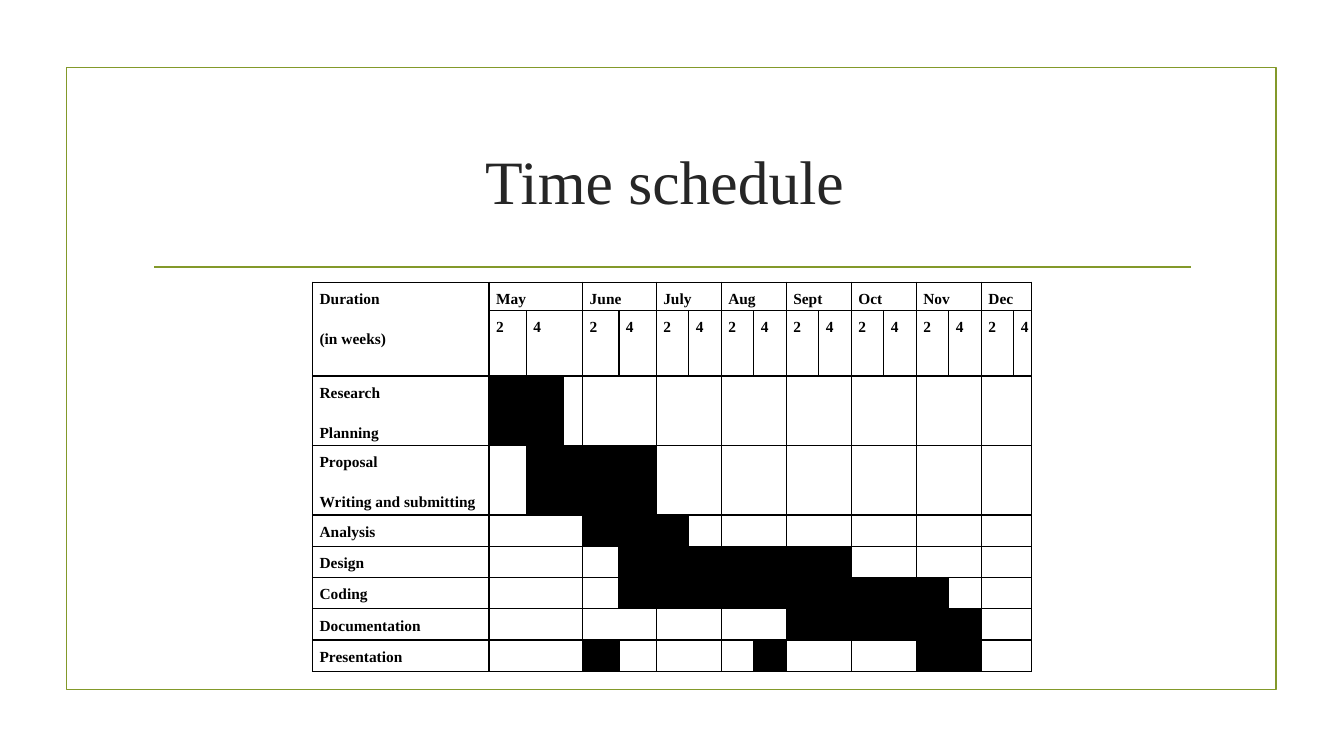
from itertools import groupby

from lxml import etree
from pptx import Presentation
from pptx.dml.color import RGBColor
from pptx.enum.shapes import MSO_CONNECTOR, MSO_SHAPE
from pptx.enum.text import MSO_ANCHOR, PP_ALIGN
from pptx.oxml.ns import qn
from pptx.util import Inches, Pt

RECT = MSO_SHAPE.RECTANGLE
LINE = MSO_CONNECTOR.STRAIGHT
MIDDLE = MSO_ANCHOR.MIDDLE
CENTER = PP_ALIGN.CENTER
JUSTIFY = PP_ALIGN.JUSTIFY

COLORS = {"olive": "83992A", "title": "262626", "ink": "000000"}
FONT = "Times New Roman"
TITLE = {"name": FONT, "size": Pt(44), "bold": False}
LABEL = {"name": FONT, "size": Pt(11), "bold": True}
SPACING = {"alignment": JUSTIFY, "line_spacing": 1.5, "space_after": Pt(10)}
MARGINS = {"margin_left": Inches(0.07), "margin_right": Inches(0.07),
           "margin_top": 0, "margin_bottom": 0}

MONTHS = ["May", "June", "July", "Aug", "Sept", "Oct", "Nov", "Dec"]
SPANS = [(1, 3)] + [(col, col + 1) for col in range(4, 18, 2)]
TASKS = [
    ("Research\nPlanning", [(1, 2)]),
    ("Proposal\nWriting and submitting", [(2, 5)]),
    ("Analysis", [(4, 6)]),
    ("Design", [(5, 11)]),
    ("Coding", [(5, 14)]),
    ("Documentation", [(10, 15)]),
    ("Presentation", [(4, 4), (9, 9), (14, 15)]),
]
WIDTHS = [1.75, 0.37, 0.37, 0.19, 0.36, 0.37] + [3.55 / 11] * 11 + [0.17]
HEIGHTS = [0.28, 0.65, 0.69, 0.69] + [0.31] * 5


def color(name):
    return RGBColor.from_string(COLORS[name])


def style(item, values):
    for key, value in values.items():
        setattr(item, key, value)


def add_frame(slide, left, top, width, height):
    frame = slide.shapes.add_shape(
        RECT, Inches(left), Inches(top), Inches(width), Inches(height))
    frame.shadow.inherit = False
    frame.fill.background()
    rule = slide.shapes.add_connector(
        LINE, Inches(left + 0.87), Inches(top + 1.98),
        Inches(left + width - 0.85), Inches(top + 1.98))
    etree.SubElement(rule._element.spPr, qn("a:effectLst"))
    for shape in (frame, rule):
        shape.line.color.rgb = color("olive")
        shape.line.width = Pt(1.25)


def add_title(slide, left, top, width, height):
    title = slide.shapes.title
    style(title, {"left": Inches(left), "top": Inches(top),
                  "width": Inches(width), "height": Inches(height)})
    title.text_frame.text = "Time schedule "
    title.text_frame.vertical_anchor = MIDDLE
    para = title.text_frame.paragraphs[0]
    para.alignment = CENTER
    style(para.runs[0].font, TITLE)
    para.runs[0].font.color.rgb = color("title")


def add_edges(cell):
    props = cell._tc.get_or_add_tcPr()
    for side in ("lnL", "lnR", "lnT", "lnB"):
        edge = etree.SubElement(props, qn(f"a:{side}"), w=str(Pt(1)))
        fill = etree.SubElement(edge, qn("a:solidFill"))
        etree.SubElement(fill, qn("a:srgbClr"), val=COLORS["ink"])


def set_text(cell, text):
    cell.text_frame.text = text
    for para in cell.text_frame.paragraphs:
        style(para, SPACING)
        for font in [para.font] + [run.font for run in para.runs]:
            style(font, LABEL)
            font.color.rgb = color("ink")


def join(table, row, first, last):
    if last > first:
        table.cell(row, first).merge(table.cell(row, last))


def fill_head(table):
    set_text(table.cell(0, 0), "Duration\n(in weeks)")
    table.cell(0, 0).merge(table.cell(1, 0))
    for month, (first, last) in zip(MONTHS, SPANS):
        set_text(table.cell(0, first), month)
        set_text(table.cell(1, first), "2")
        set_text(table.cell(1, first + 1), "4")
        join(table, 0, first, last)
        join(table, 1, first + 1, last)


def fill_task(table, row, name, bars):
    def busy(col):
        return any(start <= col <= end for start, end in bars)

    set_text(table.cell(row, 0), name)
    for first, last in SPANS:
        for dark, group in groupby(range(first, last + 1), busy):
            cols = list(group)
            if dark:
                for col in cols:
                    fill = table.cell(row, col).fill
                    fill.solid()
                    fill.fore_color.rgb = color("ink")
            join(table, row, cols[0], cols[-1])


def add_plan(slide, left, top):
    table = slide.shapes.add_table(
        len(HEIGHTS), len(WIDTHS), Inches(left), Inches(top),
        Inches(sum(WIDTHS)), Inches(sum(HEIGHTS))).table
    style(table, {"first_row": False, "horz_banding": False})
    for col, width in zip(table.columns, WIDTHS):
        col.width = Inches(width)
    for row, height in zip(table.rows, HEIGHTS):
        row.height = Inches(height)
    for cell in table.iter_cells():
        style(cell, MARGINS)
        add_edges(cell)
        cell.fill.background()
        set_text(cell, "")
    fill_head(table)
    for row, (name, bars) in enumerate(TASKS, 2):
        fill_task(table, row, name, bars)


def main():
    deck = Presentation()
    deck.slide_width, deck.slide_height = Inches(13.33), Inches(7.5)
    slide = deck.slides.add_slide(deck.slide_layouts[5])
    add_frame(slide, 0.66, 0.67, 12, 6.17)
    add_title(slide, 1.42, 1.07, 10.5, 1.43)
    add_plan(slide, 3.1, 2.8)
    deck.save("out.pptx")


if __name__ == "__main__":
    main()
